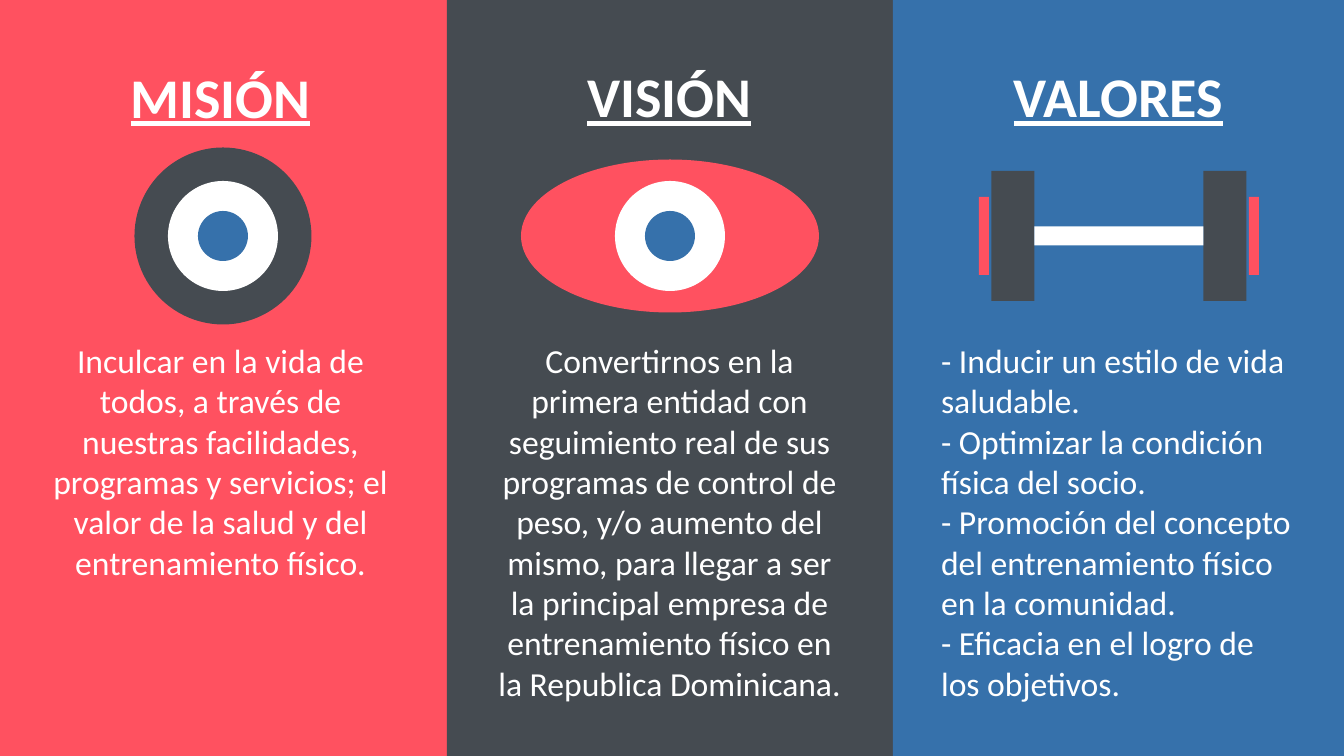
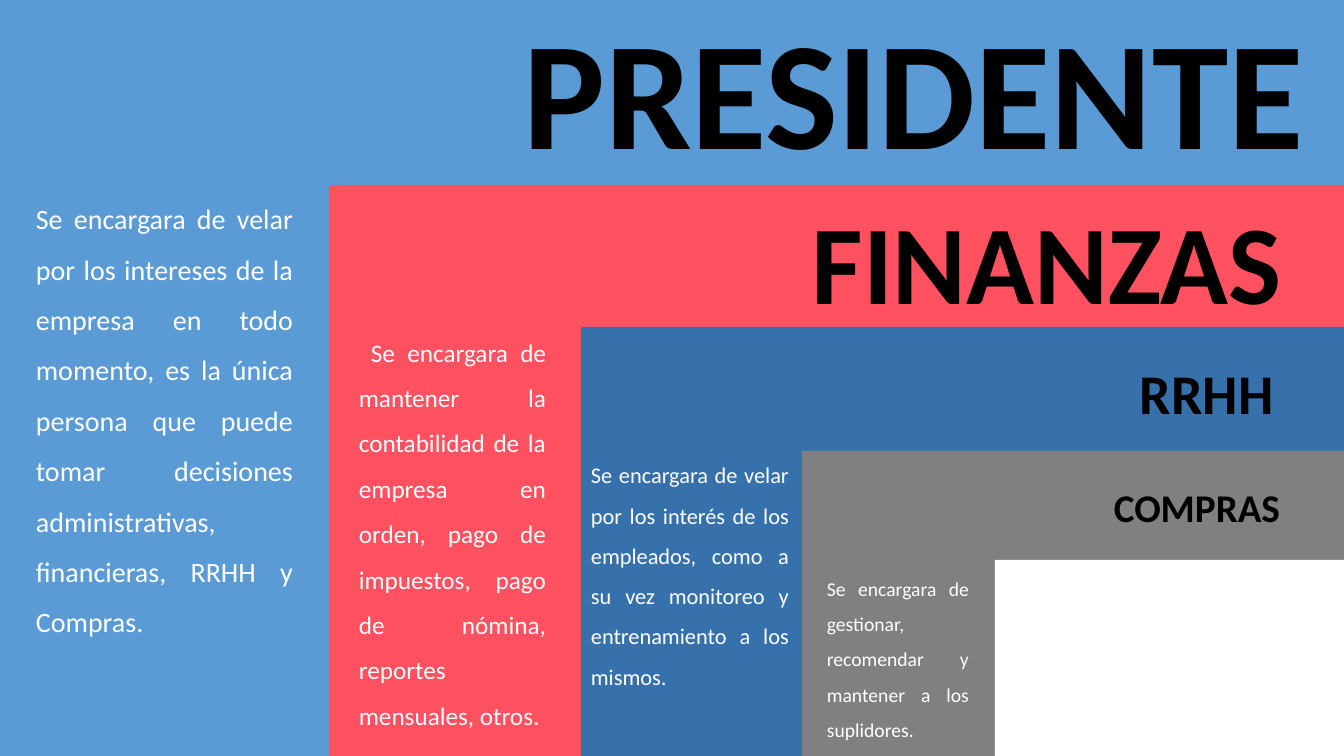
from dataclasses import dataclass

from lxml.etree import SubElement
from pptx import Presentation
from pptx.dml.color import RGBColor
from pptx.enum.shapes import MSO_SHAPE
from pptx.enum.text import MSO_ANCHOR, MSO_AUTO_SIZE, PP_ALIGN
from pptx.oxml.ns import qn
from pptx.util import Emu, Pt

WIDTH, HEIGHT = 1344, 756


def px(count):
    """Turn pixels into EMU."""
    return Emu(round(count * 914400 / 100.8))


@dataclass(frozen=True)
class Theme:
    """Colours, font and type sizes of the deck."""
    red: str = "FF5160"
    dark: str = "454B51"
    blue: str = "3671AB"
    sky: str = "5B9BD5"
    gray: str = "808080"
    white: str = "FFFFFF"
    black: str = "000000"
    font: str = "Calibri"
    head: int = 40
    copy: int = 24
    ranks: tuple = (110, 80, 40, 28)
    notes: tuple = (20, 18, 16, 14)


class Deck:
    """Presentation with its style and current slide."""

    def __init__(self, theme):
        """Start an empty wide presentation."""
        self.theme = theme
        self.file = Presentation()
        self.file.slide_width, self.file.slide_height = px(WIDTH), px(HEIGHT)
        self.slide = None

    def page(self, layout):
        """Open a new slide."""
        self.slide = self.file.slides.add_slide(self.file.slide_layouts[layout])

    def block(self, left, top, width, height, color, kind=MSO_SHAPE.RECTANGLE):
        """Draw a plain filled shape."""
        shape = self.slide.shapes.add_shape(kind, px(left), px(top), px(width), px(height))
        shape.shadow.inherit = False
        shape.fill.solid()
        shape.fill.fore_color.rgb = RGBColor.from_string(color)
        shape.line.fill.background()

    def mid(self, x, y, width, height, color, kind=MSO_SHAPE.OVAL):
        """Draw a shape around a centre point."""
        self.block(x - width / 2, y - height / 2, width, height, color, kind)

    def text(self, box, lines, size, color, align=PP_ALIGN.LEFT, slot=None,
             space=1.0, indent=0, **style):
        """Write paragraphs in a placeholder slot or a new text box."""
        shapes = self.slide.shapes
        if slot is None:
            shape = shapes.add_textbox(*map(px, box))
        else:
            shape = self.slide.placeholders[slot]
            shapes._spTree.append(shape._element)
            for name, value in zip(("left", "top", "width", "height"), box):
                setattr(shape, name, px(value))
        frame = shape.text_frame
        frame.text = "\n".join(lines)
        look = {"word_wrap": True, "auto_size": MSO_AUTO_SIZE.NONE,
                "vertical_anchor": MSO_ANCHOR.TOP}
        for name, value in look.items():
            setattr(frame, name, value)
        form = {"alignment": align, "line_spacing": space,
                "space_before": Pt(0), "space_after": Pt(0)}
        face = {"name": self.theme.font, "size": Pt(size), **style}
        for para in frame.paragraphs:
            for name, value in form.items():
                setattr(para, name, value)
            props = para._p.get_or_add_pPr()
            props.set("marL", "0")
            props.set("indent", str(px(indent)))
            SubElement(props, qn("a:buNone"))
            for run in para.runs:
                for name, value in face.items():
                    setattr(run.font, name, value)
                run.font.color.rgb = RGBColor.from_string(color)

    def eye(self, x, y, width, height, color):
        """Draw an oval with a white ring and a blue core."""
        parts = ((width, height, color), (110, 110, self.theme.white),
                 (50, 50, self.theme.blue))
        for part in parts:
            self.mid(x, y, *part)

    def weight(self, x, y):
        """Draw a dumbbell."""
        theme, rect = self.theme, MSO_SHAPE.RECTANGLE
        for side in (-1, 1):
            self.mid(x + side * 106, y, 43, 130, theme.dark, rect)
            self.mid(x + side * 135, y, 10, 78, theme.red, rect)
        self.mid(x, y, 169, 19, theme.white, rect)


def values(deck):
    """Build the mission, vision and values slide."""
    theme = deck.theme
    deck.page(1)
    columns = (
        (0, 447, theme.red, "MISIÓN", 0, None, PP_ALIGN.CENTER, (
            "Inculcar en la vida de todos, a través de nuestras facilidades, "
            "programas y servicios; el valor de la salud y del entrenamiento físico.",)),
        (447, 446, theme.dark, "VISIÓN", None, None, PP_ALIGN.CENTER, (
            "Convertirnos en la primera entidad con seguimiento real de sus "
            "programas de control de peso, y/o aumento del mismo, para llegar a ser "
            "la principal empresa de entrenamiento físico en la Republica Dominicana.",)),
        (893, 451, theme.blue, "VALORES", None, 1, PP_ALIGN.LEFT, (
            "- Inducir un estilo de vida saludable.",
            "- Optimizar la condición física del socio.",
            "- Promoción del concepto del entrenamiento físico en la comunidad.",
            "- Eficacia en el logro de los objetivos.")),
    )
    for index, (left, width, color, head, top, slot, align, lines) in enumerate(columns):
        deck.block(left, 0, width, HEIGHT, color)
        start = 33 + 449 * index
        deck.text((start, 57, 375, 80), (head,), theme.head, theme.white,
                  PP_ALIGN.CENTER, top, bold=True, underline=True)
        deck.text((start, 335, 375, 378), lines, theme.copy, theme.white, align, slot)
    deck.eye(223, 236, 177, 177, theme.dark)
    deck.eye(670, 236, 298, 153, theme.red)
    deck.weight(1119, 236)


def ranks(deck):
    """Build the nested slide of company roles."""
    theme = deck.theme
    deck.page(5)
    panels = ((0, 0, theme.sky), (329, 185, theme.red), (581, 327, theme.blue),
              (802, 451, theme.gray), (995, 560, theme.white))
    for left, top, color in panels:
        deck.block(left, top, WIDTH - left, HEIGHT - top, color)
    roles = (
        ("PRESIDENTE", (513, -10, 831, 197), (26, 180, 277, 468), 0,
         "Se encargara de velar por los intereses de la empresa en todo momento, es la "
         "única persona que puede tomar decisiones administrativas, financieras, RRHH y Compras."),
        ("FINANZAS", (802, 188, 542, 146), (349, 317, 207, 422), 12,
         "Se encargara de mantener la contabilidad de la empresa en orden, pago de "
         "impuestos, pago de nómina, reportes mensuales, otros."),
        ("RRHH", (1130, 354, 214, 78), (581, 443, 218, 254), 0,
         "Se encargara de velar por los interés de los empleados, como a su vez "
         "monitoreo y entrenamiento a los mismos."),
        ("COMPRAS", (1104, 478, 240, 57), (817, 560, 162, 188), 0,
         "Se encargara de gestionar, recomendar y mantener a los suplidores."),
    )
    for index, (role, head, body, indent, duty) in enumerate(roles):
        deck.text(head, (role,), theme.ranks[index], theme.black,
                  slot=None if index else 0, bold=True)
        deck.text(body, (duty,), theme.notes[index], theme.white,
                  PP_ALIGN.JUSTIFY, space=1.5, indent=indent)


def main():
    """Build and save the deck."""
    deck = Deck(Theme())
    values(deck)
    ranks(deck)
    deck.file.save("out.pptx")


if __name__ == "__main__":
    main()
